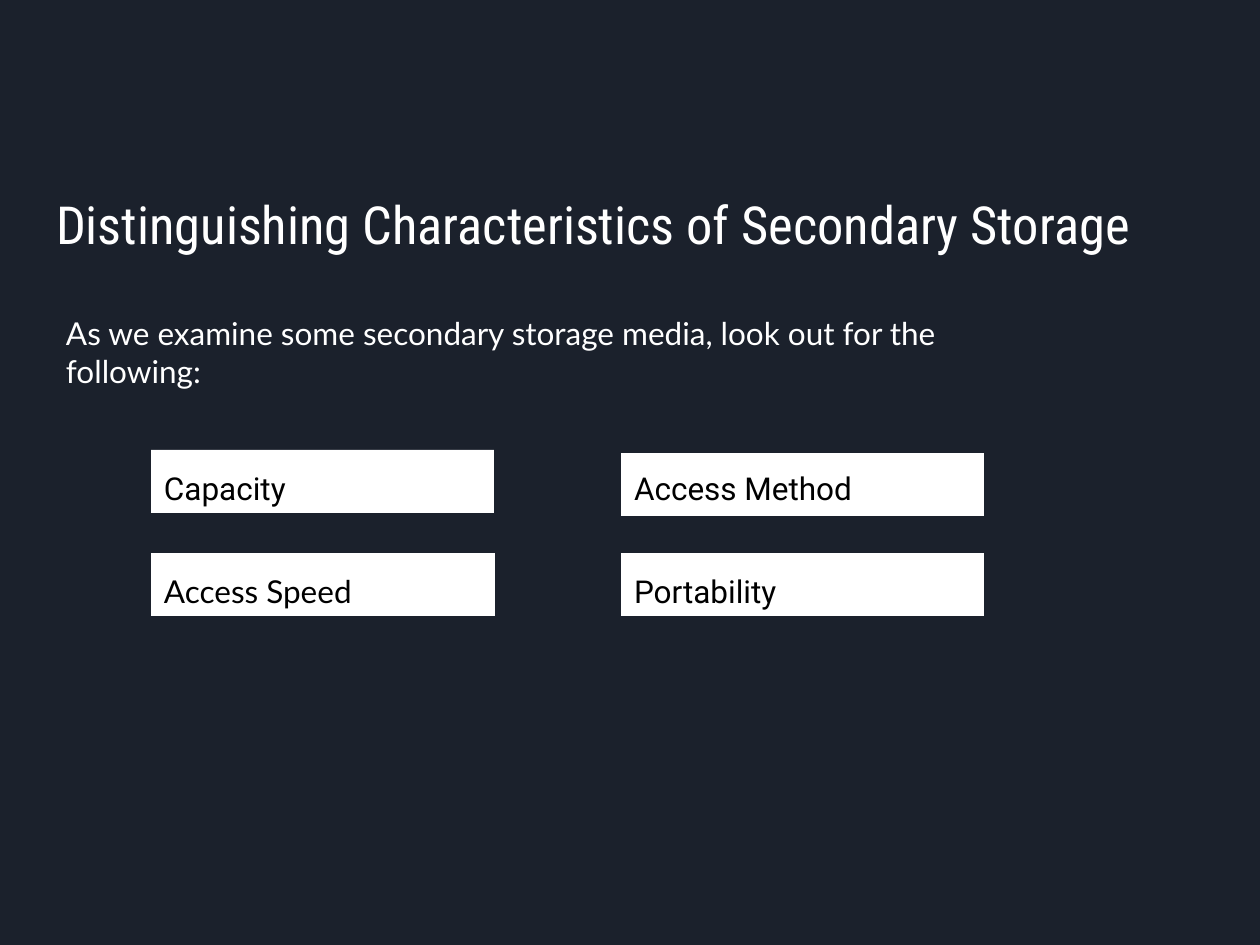
from dataclasses import dataclass

from pptx import Presentation
from pptx.dml.color import RGBColor
from pptx.enum.text import MSO_ANCHOR, MSO_AUTO_SIZE, PP_ALIGN
from pptx.oxml.ns import qn
from pptx.util import Pt
from lxml import etree

EMU_PER_PX = 914400 / 126
NAVY = RGBColor(0x1B, 0x21, 0x2C)
WHITE = RGBColor(0xFF, 0xFF, 0xFF)
BLACK = RGBColor(0x00, 0x00, 0x00)
TOP = MSO_ANCHOR.TOP
NO_FIT = MSO_AUTO_SIZE.NONE
LEFT = PP_ALIGN.LEFT
COMPARISON_LAYOUT = 4
INSET = 13


@dataclass(frozen=True)
class Card:
    """A white label; inset is the gap above its text."""
    text: str
    left: int
    top: int
    width: int
    font: str = "Roboto"
    inset: int = INSET


CARD_HEIGHT = 63
LEFT_COLUMN, RIGHT_COLUMN = 151, 621
CARDS = (
    Card("Capacity", LEFT_COLUMN, 450, 343),
    Card("Access Speed", LEFT_COLUMN, 553, 344, font="Lato"),
    Card("Access Method", RIGHT_COLUMN, 453, 363, inset=10),
    Card("Portability", RIGHT_COLUMN, 553, 363),
)


def px(length: int) -> int:
    return round(length * EMU_PER_PX)


def place(shape, left: int, top: int, width: int, height: int) -> None:
    shape.left, shape.top = px(left), px(top)
    shape.width, shape.height = px(width), px(height)


def write(shape, text: str, *, font: str, size: int = 18,
          color: RGBColor = WHITE, spacing: float = 1.0,
          inset: int = INSET) -> None:
    """Fill a shape with one left-aligned paragraph without a bullet."""
    frame = shape.text_frame
    frame.word_wrap = True
    frame.auto_size = NO_FIT
    frame.vertical_anchor = TOP
    frame.margin_left = frame.margin_right = frame.margin_bottom = px(INSET)
    frame.margin_top = px(inset)
    frame.text = text
    paragraph = frame.paragraphs[0]
    paragraph.alignment = LEFT
    paragraph.line_spacing = spacing
    paragraph.space_before = Pt(0)
    properties = paragraph._p.get_or_add_pPr()
    properties.set("marL", "0")
    properties.set("indent", "0")
    etree.SubElement(properties, qn("a:buNone"))
    paragraph.font.name = font
    paragraph.font.size = Pt(size)
    paragraph.font.bold = False
    paragraph.font.color.rgb = color


def draw_card(shape, card: Card) -> None:
    place(shape, card.left, card.top, card.width, CARD_HEIGHT)
    shape.fill.solid()
    shape.fill.fore_color.rgb = WHITE
    write(shape, card.text, font=card.font, color=BLACK, spacing=1.15,
          inset=card.inset)


def main() -> None:
    presentation = Presentation()
    presentation.slide_width, presentation.slide_height = px(1260), px(945)
    slide = presentation.slides.add_slide(
        presentation.slide_layouts[COMPARISON_LAYOUT])
    slide.background.fill.solid()
    slide.background.fill.fore_color.rgb = NAVY

    # Title
    title = slide.shapes.title
    place(title, 43, 179, 1174, 79)
    write(title, "Distinguishing Characteristics of Secondary Storage",
          font="Roboto Condensed", size=30)

    # Characteristics, one body placeholder each; the rest are removed
    bodies = {body.placeholder_format.idx: body for body in slide.placeholders}
    for index, card in enumerate(CARDS, start=1):
        draw_card(bodies[index], card)
    for index, body in bodies.items():
        if index > len(CARDS):
            body.element.getparent().remove(body.element)

    # Introduction
    introduction = slide.shapes.add_textbox(0, 0, 0, 0)
    place(introduction, 53, 301, 1028, 101)
    write(introduction, "As we examine some secondary storage media, "
          "look out for the following:", font="Lato")

    presentation.save("out.pptx")


if __name__ == "__main__":
    main()
